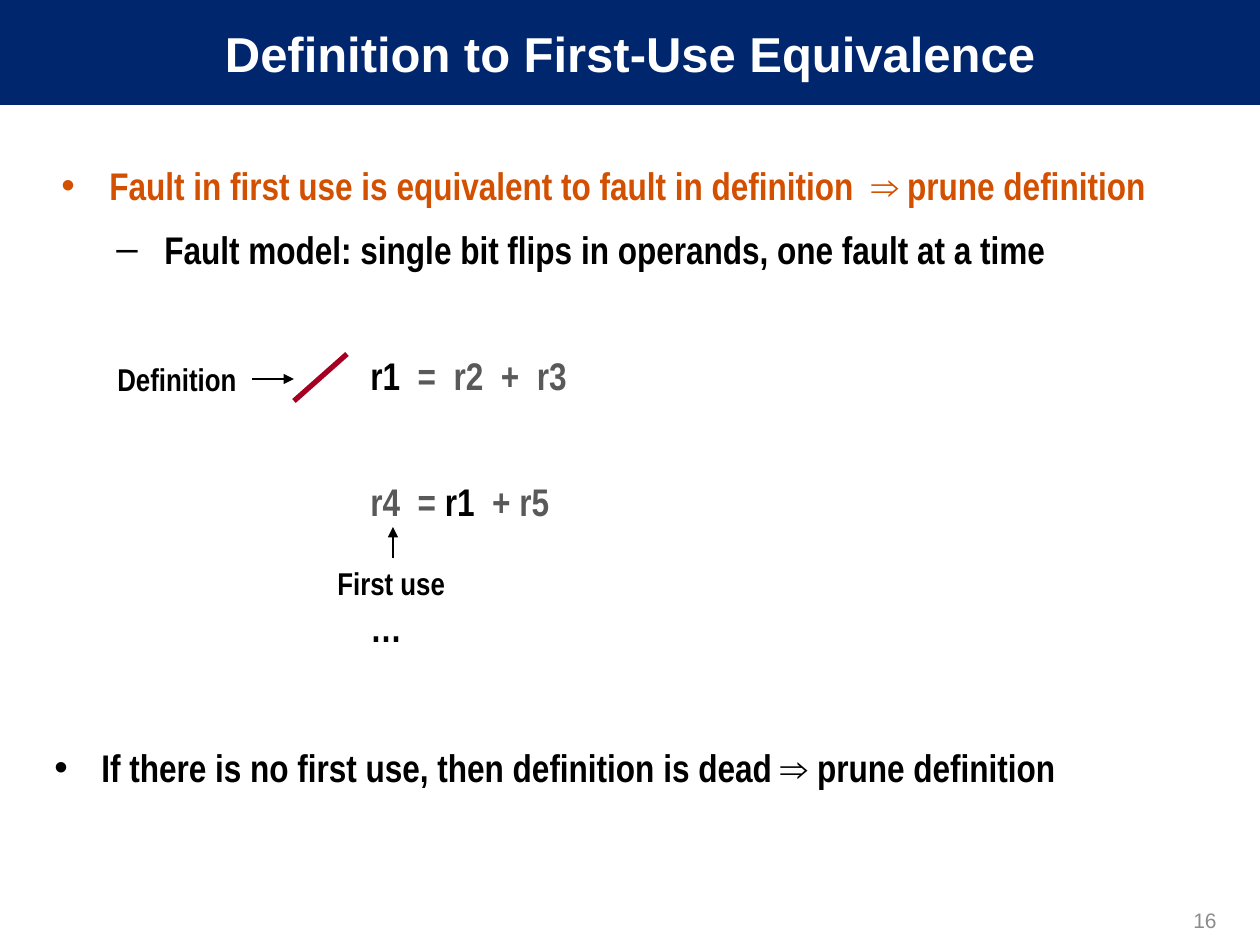
import pptx
import pptx.util
import pptx.dml.color
import pptx.enum.shapes
import pptx.enum.text
import pptx.oxml.ns
import lxml.etree

SCALE = 914400 / 126
COLORS = {
    "navy": "00266E",
    "white": "FFFFFF",
    "orange": "D25000",
    "black": "000000",
    "gray": "595959",
    "number": "8C8C8C",
    "red": "A50021",
}
ALIGN = pptx.enum.text.PP_ALIGN
MIDDLE = pptx.enum.text.MSO_ANCHOR.MIDDLE


def px(*lengths):
    return [pptx.util.Emu(round(length * SCALE)) for length in lengths]


def style(span, size, font, color, bold=True):
    span.font.size = pptx.util.Pt(size)
    span.font.name = font
    span.font.bold = bold
    span.font.color.rgb = pptx.dml.color.RGBColor.from_string(COLORS[color])


deck = pptx.Presentation()
deck.slide_width, deck.slide_height = px(1260, 945)
page = deck.slides.add_slide(deck.slide_layouts[5])

title = page.shapes.title
title.left, title.top, title.width, title.height = px(0, 0, 1260, 105)
title.fill.solid()
title.fill.fore_color.rgb = pptx.dml.color.RGBColor.from_string(COLORS["navy"])
title.text_frame.text = "Definition to First-Use Equivalence"
title.text_frame.vertical_anchor = MIDDLE
title.text_frame.paragraphs[0].alignment = ALIGN.CENTER
style(title.text_frame.paragraphs[0].runs[0], 28, "Arial", "white")

body_lines = [
    ("•", 55, -48, 12.2, [("Fault in first use is equivalent to fault in definition  ⇒ prune definition", "orange")]),
    ("–", 110, -48, 4.4, [("Fault model: single bit flips in operands, one fault at a time", "black")]),
    (None, 316, 0, 40.4, [("r1  ", "black"), ("=  r2  +  r3", "gray")]),
    (None, 316, 0, 40.4, [("r4  = ", "gray"), ("r1  ", "black"), ("+ r5", "gray")]),
    (None, 316, 0, 40.4, [("…", "black")]),
    ("•", 47, -47, 48.4, [("If there is no first use, then definition is dead ⇒ prune definition", "black")]),
]
body = page.shapes.add_textbox(*px(42, 147, 1187, 662))
body.text_frame.word_wrap = True
for index, (bullet, margin, indent, space, spans) in enumerate(body_lines):
    para = body.text_frame.paragraphs[0] if index == 0 else body.text_frame.add_paragraph()
    para.line_spacing = 1.2
    para.space_before = pptx.util.Pt(space)
    for text, color in spans:
        span = para.add_run()
        span.text = text
        style(span, 22, "Arial Narrow", color)
    properties = para._p.get_or_add_pPr()
    for name, length in zip(("marL", "indent"), px(margin, indent)):
        properties.set(name, str(length))
    if bullet:
        mark = lxml.etree.SubElement(properties, pptx.oxml.ns.qn("a:buFont"))
        mark.set("typeface", "Arial")
        mark = lxml.etree.SubElement(properties, pptx.oxml.ns.qn("a:buChar"))
        mark.set("char", bullet)

labels = [
    ("Definition", (105, 354, 175, 50), 18, "Arial Narrow", "black", True, ALIGN.LEFT),
    ("First use", (325, 558, 135, 50), 18, "Arial Narrow", "black", True, ALIGN.LEFT),
    ("16", (935, 895, 294, 50), 12, "Arial", "number", False, ALIGN.RIGHT),
]
for text, place, size, font, color, bold, alignment in labels:
    box = page.shapes.add_textbox(*px(*place))
    box.text_frame.text = text
    box.text_frame.vertical_anchor = MIDDLE
    box.text_frame.word_wrap = True
    para = box.text_frame.paragraphs[0]
    para.alignment = alignment
    style(para.runs[0], size, font, color, bold)

lines = [
    ((294, 401, 347, 354), "red", 3, False),
    ((252, 379, 294, 379), "black", 0.75, True),
    ((393, 558, 393, 527), "black", 0.75, True),
]
for ends, color, width, arrow in lines:
    line = page.shapes.add_connector(pptx.enum.shapes.MSO_CONNECTOR.STRAIGHT, *px(*ends))
    line.line.color.rgb = pptx.dml.color.RGBColor.from_string(COLORS[color])
    line.line.width = pptx.util.Pt(width)
    if arrow:
        tail = lxml.etree.SubElement(line.line._get_or_add_ln(), pptx.oxml.ns.qn("a:tailEnd"))
        tail.set("type", "triangle")
    lxml.etree.SubElement(line._element.spPr, pptx.oxml.ns.qn("a:effectLst"))

deck.save("out.pptx")
